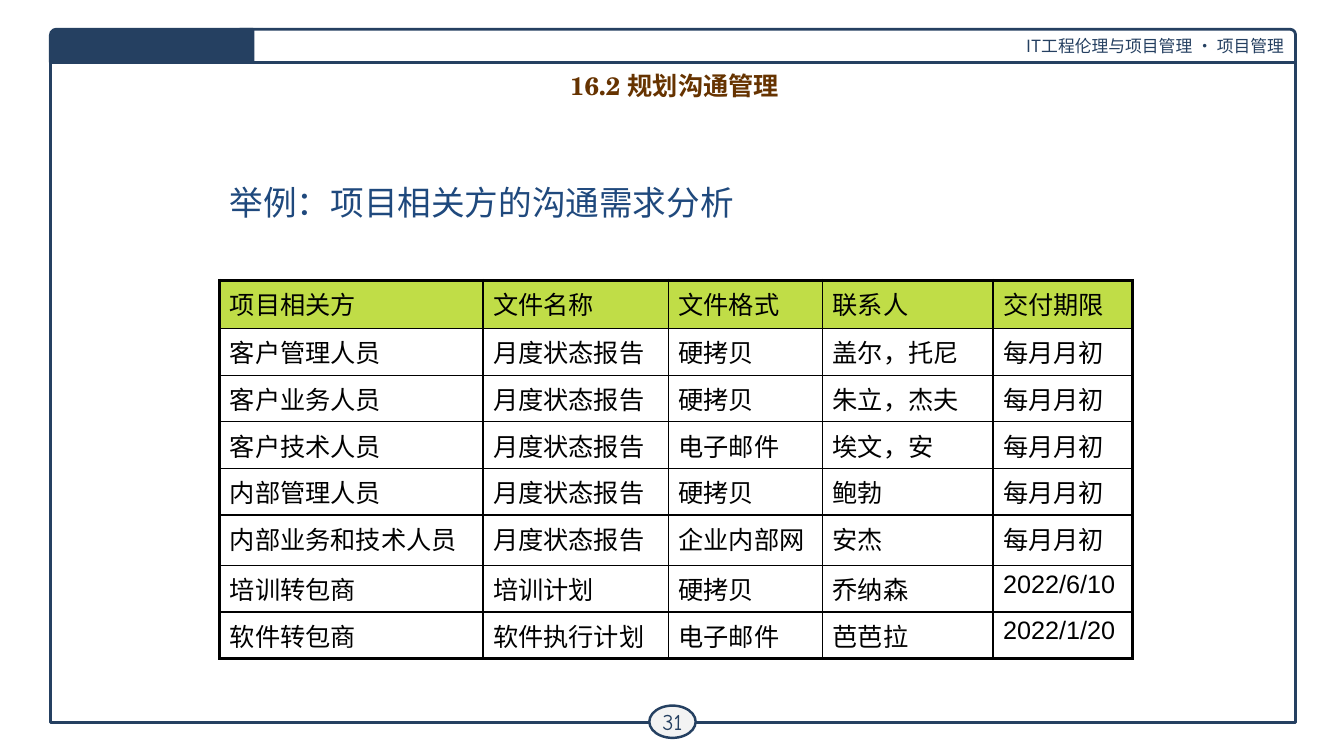
from lxml.etree import SubElement
from pptx import Presentation
from pptx.dml.color import RGBColor
from pptx.enum.shapes import MSO_SHAPE
from pptx.enum.text import MSO_ANCHOR, MSO_AUTO_SIZE, PP_ALIGN
from pptx.oxml.ns import qn
from pptx.util import Inches, Pt

COLORS = {
    "navy": "254061", "white": "FFFFFF", "badge": "F3F3F3", "lime": "C0DD47",
    "black": "000000", "blue": "1F497D", "brown": "663300",
}
CJK = "Noto Sans CJK SC"


def write(tf, text, size, color, font=CJK, bold=False, align=PP_ALIGN.LEFT,
          anchor=MSO_ANCHOR.MIDDLE, wrap=True):
    tf.word_wrap = wrap
    tf.vertical_anchor = anchor
    p = tf.paragraphs[0]
    p.alignment = align
    r = p.add_run()
    r.text = text
    r.font.size = Pt(size)
    r.font.bold = bold
    r.font.color.rgb = RGBColor.from_string(COLORS[color])
    r.font.name = font
    SubElement(r.font._element, qn("a:ea"), typeface=CJK)


def add_frame(s, kind, box, fill=None, width=2):
    sp = s.shapes.add_shape(kind, *[Inches(v) for v in box])
    sp.shadow.inherit = False
    if fill:
        sp.fill.solid()
        sp.fill.fore_color.rgb = RGBColor.from_string(COLORS[fill])
    else:
        sp.fill.background()
    sp.line.color.rgb = RGBColor.from_string(COLORS["navy"])
    sp.line.width = Pt(width)
    return sp


prs = Presentation()
prs.slide_width = Inches(13.33)
prs.slide_height = Inches(7.5)
s = prs.slides.add_slide(prs.slide_layouts[5])

add_frame(s, MSO_SHAPE.RECTANGLE, (0.5, 0.5, 12.35, 6.67))
header = add_frame(s, MSO_SHAPE.ROUND_1_RECTANGLE, (2.38, 0.29, 10.47, 0.33), "white")
write(header.text_frame, "IT工程伦理与项目管理 · 项目管理", 12, "navy", align=PP_ALIGN.RIGHT)

badge = add_frame(s, MSO_SHAPE.OVAL, (6.44, 7, 0.46, 0.32), "badge", 1.75)
tf = badge.text_frame
tf.margin_left = tf.margin_right = tf.margin_top = tf.margin_bottom = Inches(0.04)
write(tf, "31", 16, "navy", font="Comic Neue", align=PP_ALIGN.CENTER, wrap=False)

tab = add_frame(s, MSO_SHAPE.ROUND_1_RECTANGLE, (0.5, 0.29, 2.01, 0.33), "navy")
tab.adjustments[0] = 0.175
tab._element.spPr.xfrm.set("flipH", "1")

rows = [
    ("项目相关方", "文件名称", "文件格式", "联系人", "交付期限"),
    ("客户管理人员", "月度状态报告", "硬拷贝", "盖尔，托尼", "每月月初"),
    ("客户业务人员", "月度状态报告", "硬拷贝", "朱立，杰夫", "每月月初"),
    ("客户技术人员", "月度状态报告", "电子邮件", "埃文，安", "每月月初"),
    ("内部管理人员", "月度状态报告", "硬拷贝", "鲍勃", "每月月初"),
    ("内部业务和技术人员", "月度状态报告", "企业内部网", "安杰", "每月月初"),
    ("培训转包商", "培训计划", "硬拷贝", "乔纳森", "2022/6/10"),
    ("软件转包商", "软件执行计划", "电子邮件", "芭芭拉", "2022/1/20"),
]
widths = [2.61, 1.84, 1.53, 1.69, 1.38]
heights = [0.48, 0.43, 0.43, 0.43, 0.43, 0.5, 0.43, 0.43]
table = s.shapes.add_table(len(rows), len(widths), Inches(2.18), Inches(2.78),
                           Inches(9.04), Inches(3.53)).table
table.first_row = False
table.horz_banding = False
for col, width in zip(table.columns, widths):
    col.width = Inches(width)
for row, height in zip(table.rows, heights):
    row.height = Inches(height)

for i, row in enumerate(rows):
    for j, text in enumerate(row):
        cell = table.cell(i, j)
        write(cell.text_frame, text, 18, "black", font="Arial", anchor=MSO_ANCHOR.TOP)
        tcPr = cell._tc.get_or_add_tcPr()
        outer = {"L": j == 0, "R": j == len(widths) - 1,
                 "T": i == 0, "B": i == len(rows) - 1}
        for side, thick in outer.items():
            ln = SubElement(tcPr, qn(f"a:ln{side}"), w=str(Pt(2.25 if thick else 1)))
            fill = SubElement(ln, qn("a:solidFill"))
            SubElement(fill, qn("a:srgbClr"), val=COLORS["black"])
        if i == 0:
            cell.fill.solid()
            cell.fill.fore_color.rgb = RGBColor.from_string(COLORS["lime"])
        else:
            cell.fill.background()

example = s.shapes.add_textbox(Inches(2.18), Inches(1.75), Inches(8.5), Inches(0.5))
write(example.text_frame, "举例：项目相关方的沟通需求分析", 24, "blue")
example.text_frame.auto_size = MSO_AUTO_SIZE.SHAPE_TO_FIT_TEXT

title = s.shapes.title
title.left, title.top = Inches(0.69), Inches(0.65)
title.width, title.height = Inches(12), Inches(0.39)
title.text_frame.auto_size = MSO_AUTO_SIZE.NONE
write(title.text_frame, "16.2 规划沟通管理", 18, "brown", font="TeX Gyre Schola",
      bold=True, align=PP_ALIGN.CENTER)

prs.save("out.pptx")
